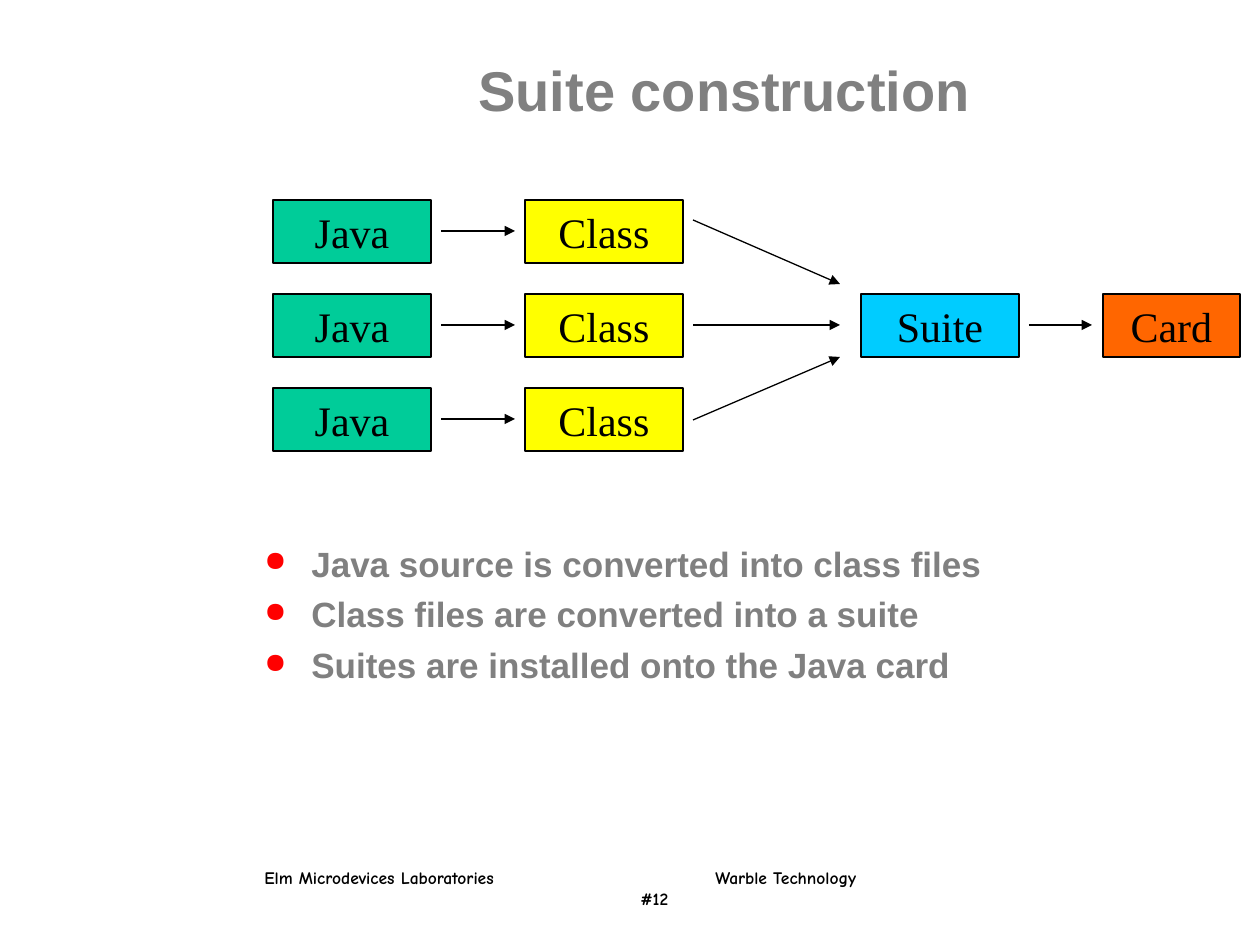
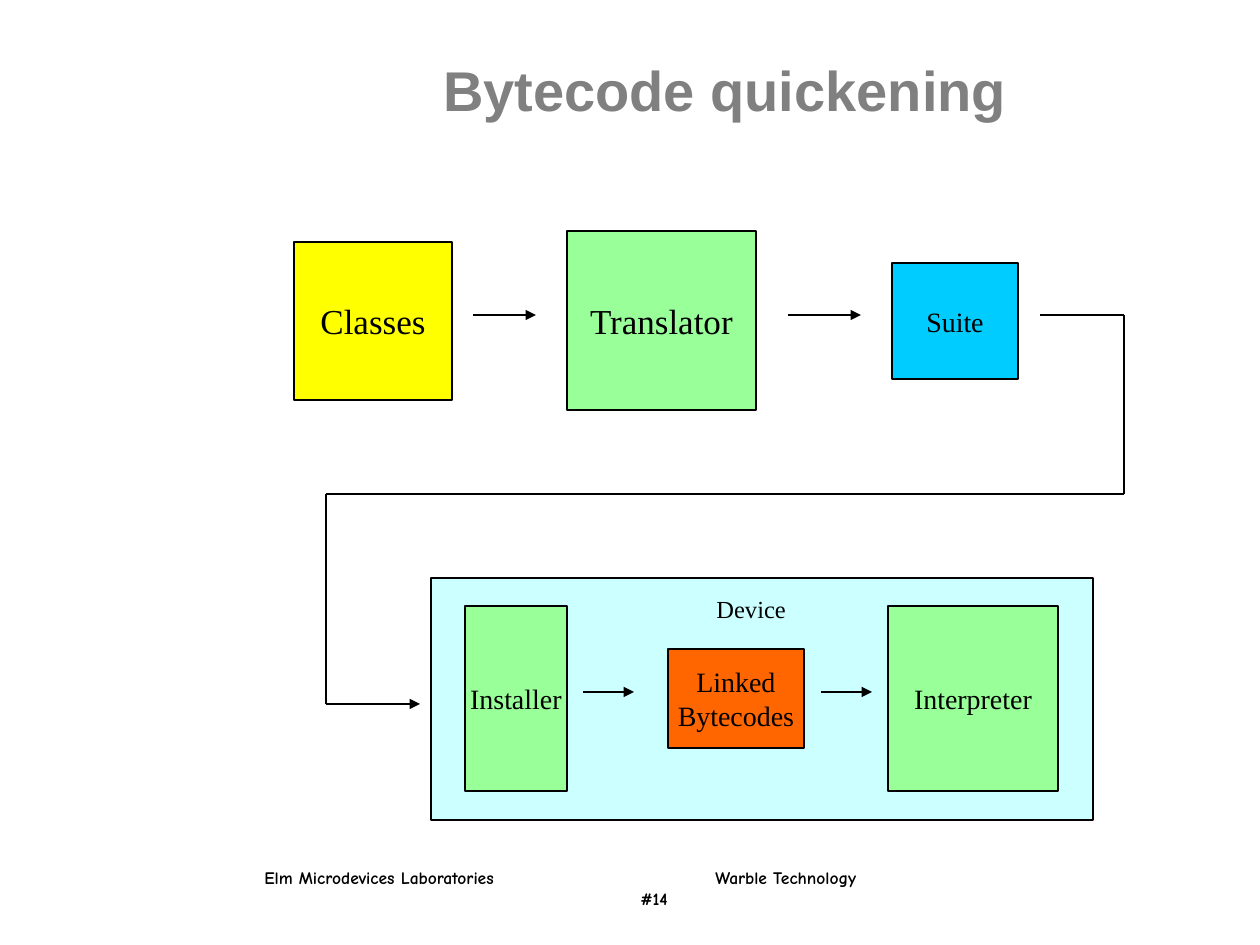
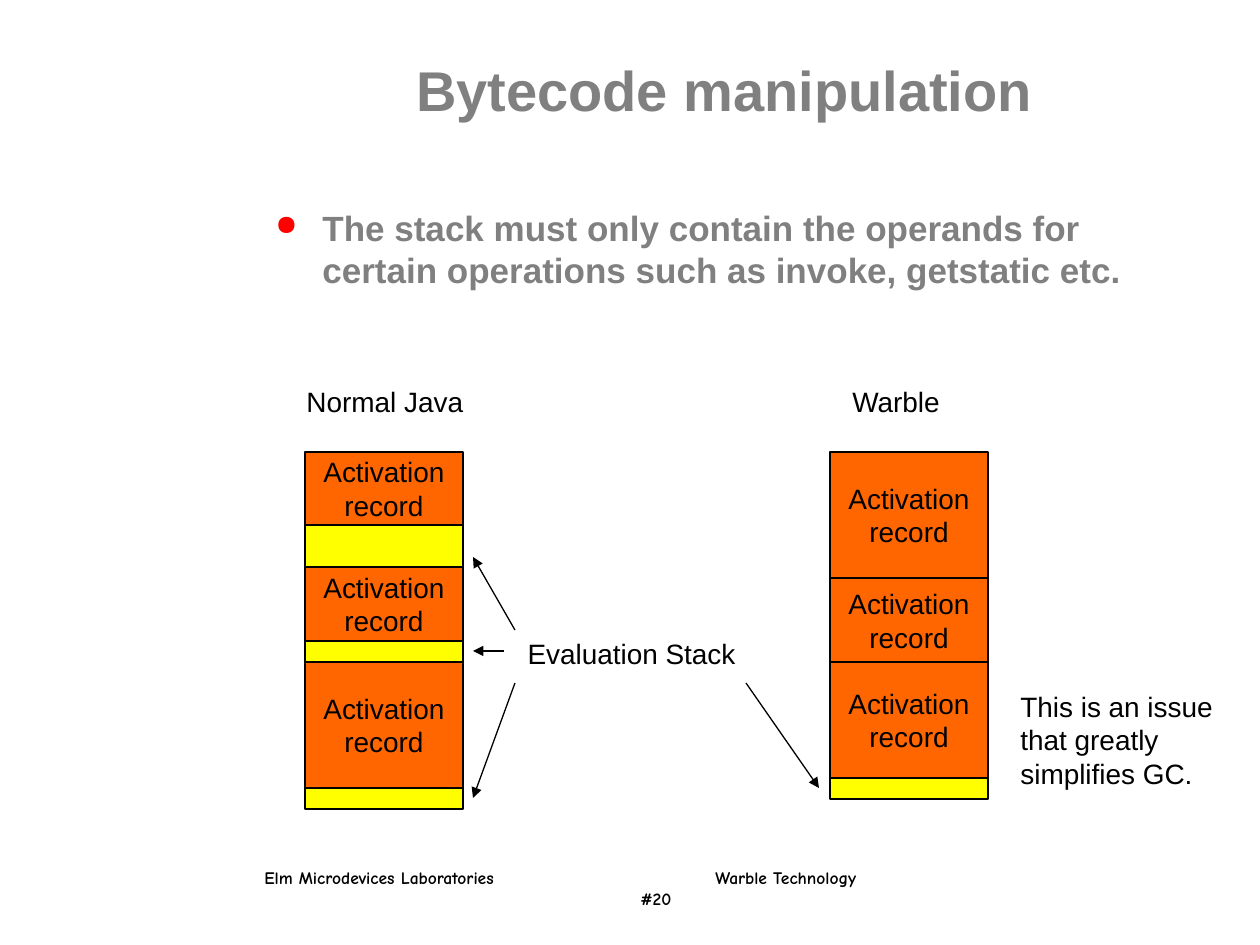
from itertools import pairwise

from lxml import etree
from pptx import Presentation
from pptx.dml.color import RGBColor
from pptx.enum.shapes import MSO_CONNECTOR, MSO_SHAPE
from pptx.enum.text import MSO_ANCHOR, MSO_AUTO_SIZE, PP_ALIGN
from pptx.oxml.ns import qn
from pptx.util import Emu, Pt

PX_PER_INCH = 126
SLIDE_W, SLIDE_H = 1260, 945
TITLE_ONLY = 5

STRAIGHT = MSO_CONNECTOR.STRAIGHT
RECTANGLE = MSO_SHAPE.RECTANGLE
TOP, MIDDLE = MSO_ANCHOR.TOP, MSO_ANCHOR.MIDDLE
LEFT, CENTER = PP_ALIGN.LEFT, PP_ALIGN.CENTER
NO_AUTOSIZE = MSO_AUTO_SIZE.NONE

SANS, SERIF, FOOTER_FONT = "Arial", "Times New Roman", "Comic Neue"

BLACK = RGBColor(0x00, 0x00, 0x00)
GRAY = RGBColor(0x80, 0x80, 0x80)
RED = RGBColor(0xFF, 0x00, 0x00)
TEAL = RGBColor(0x00, 0xCC, 0x99)
YELLOW = RGBColor(0xFF, 0xFF, 0x00)
SKY = RGBColor(0x00, 0xCC, 0xFF)
ORANGE = RGBColor(0xFF, 0x66, 0x00)
GREEN = RGBColor(0x99, 0xFF, 0x99)
PALE_CYAN = RGBColor(0xCC, 0xFF, 0xFF)

LINE_WIDTH = Pt(0.75)
BULLET_INDENT = 47
OWNER_TAB, PAGE_TAB = 451, 376
RECORD = "Activation\nrecord"


def px(length):
    return Emu(round(length * 914400 / PX_PER_INCH))


def place(*lengths):
    return [px(length) for length in lengths]


def put_text(shape, text, *, size, font=SERIF, color=BLACK, bold=False,
             align=CENTER, anchor=MIDDLE, wrap=False, space_before=0):
    """Fill a shape with text, one paragraph per line."""
    frame = shape.text_frame
    frame.auto_size = NO_AUTOSIZE
    frame.word_wrap = wrap
    frame.vertical_anchor = anchor
    frame.text = text
    for paragraph in frame.paragraphs:
        paragraph.alignment = align
        paragraph.space_before = Pt(space_before)
        paragraph.font.size = Pt(size)
        for run in paragraph.runs:
            run.font.size = Pt(size)
            run.font.name = font
            run.font.bold = bold
            run.font.color.rgb = color
    return frame


def add_label(slide, text, left, top, width, height, **text_format):
    label = slide.shapes.add_textbox(*place(left, top, width, height))
    return put_text(label, text, **{"align": LEFT, "anchor": TOP, **text_format})


def add_box(slide, left, top, width, height, fill, text="", **text_format):
    box = slide.shapes.add_shape(RECTANGLE, *place(left, top, width, height))
    box.shadow.inherit = False
    box.fill.solid()
    box.fill.fore_color.rgb = fill
    box.line.color.rgb = BLACK
    box.line.width = LINE_WIDTH
    if text:
        put_text(box, text, **text_format)


def add_line(slide, start, end, arrow=True):
    line = slide.shapes.add_connector(STRAIGHT, *place(*start, *end))
    line.line.color.rgb = BLACK
    line.line.width = LINE_WIDTH
    if arrow:
        etree.SubElement(line.line._get_or_add_ln(), qn("a:tailEnd"), type="triangle")
    etree.SubElement(line._element.spPr, qn("a:effectLst"))


def add_route(slide, points):
    """Draw joined lines through the points, with an arrowhead at the last."""
    for start, end in pairwise(points):
        add_line(slide, start, end, arrow=end == points[-1])


def add_bullets(slide, text, left, top, width, height):
    frame = add_label(slide, text, left, top, width, height, size=20, font=SANS,
                      color=GRAY, bold=True, wrap=True, space_before=5)
    for paragraph in frame.paragraphs:
        props = paragraph._p.get_or_add_pPr()
        props.set("marL", str(px(BULLET_INDENT)))
        props.set("indent", str(-px(BULLET_INDENT)))
        bullet_color = etree.SubElement(props, qn("a:buClr"))
        etree.SubElement(bullet_color, qn("a:srgbClr"), val=str(RED))
        etree.SubElement(props, qn("a:buSzPct"), val="80000")
        etree.SubElement(props, qn("a:buChar"), char="●")


def add_footer(slide, page):
    text = f"Elm Microdevices Laboratories\tWarble Technology\n\t#{page}"
    frame = add_label(slide, text, 252, 861, 793, 55, size=10,
                      font=FOOTER_FONT, bold=True, wrap=True)
    for paragraph, position in zip(frame.paragraphs, (OWNER_TAB, PAGE_TAB)):
        tabs = etree.SubElement(paragraph._p.get_or_add_pPr(), qn("a:tabLst"))
        etree.SubElement(tabs, qn("a:tab"), pos=str(px(position)), algn="l")


def add_titled_slide(deck, heading, page, left=252, width=945):
    slide = deck.slides.add_slide(deck.slide_layouts[TITLE_ONLY])
    title = slide.shapes.title
    title.left, title.top, title.width, title.height = place(left, 53, width, 73)
    put_text(title, heading, size=32, font=SANS, color=GRAY, bold=True, wrap=True)
    add_footer(slide, page)
    return slide


def add_stack(slide, left, top, segments):
    """Pile segments downwards; those without text are evaluation stacks."""
    for height, text in segments:
        fill = ORANGE if text else YELLOW
        add_box(slide, left, top, 158, height, fill, text, size=16, font=SANS)
        top += height


def build_suite_construction(deck):
    slide = add_titled_slide(deck, "Suite construction", 12)
    add_bullets(slide, "Java source is converted into class files\n"
                       "Class files are converted into a suite\n"
                       "Suites are installed onto the Java card", 252, 536, 945, 231)
    box_height = 63
    for top in range(200, 400, 94):
        middle = top + box_height // 2
        add_box(slide, 273, top, 158, box_height, TEAL, "Java", size=24)
        add_box(slide, 525, top, 158, box_height, YELLOW, "Class", size=24)
        add_line(slide, (441, middle), (515, middle))
    for class_y, suite_y in ((220, 284), (325, 325), (420, 357)):
        add_line(slide, (693, class_y), (840, suite_y))
    add_box(slide, 861, 294, 158, box_height, SKY, "Suite", size=24)
    add_line(slide, (1029, 325), (1092, 325))
    add_box(slide, 1103, 294, 137, box_height, ORANGE, "Card", size=24)


def build_bytecode_quickening(deck):
    slide = add_titled_slide(deck, "Bytecode quickening", 14, left=284, width=882)
    add_box(slide, 294, 242, 158, 158, YELLOW, "Classes", size=20)
    add_box(slide, 567, 231, 189, 179, GREEN, "Translator", size=20)
    add_box(slide, 892, 263, 126, 116, SKY, "Suite", size=16)
    for start, end in ((473, 536), (788, 861)):
        add_line(slide, (start, 315), (end, 315))

    add_box(slide, 431, 578, 662, 242, PALE_CYAN)
    add_label(slide, "Device", 704, 588, 95, 43, size=14)
    add_box(slide, 465, 606, 102, 185, GREEN, "Installer", size=16)
    add_box(slide, 668, 649, 136, 99, ORANGE, "Linked\nBytecodes", size=16)
    add_box(slide, 888, 606, 170, 185, GREEN, "Interpreter", size=16)
    for start, end in ((583, 634), (821, 872)):
        add_line(slide, (start, 692), (end, 692))

    add_route(slide, [(1040, 315), (1124, 315), (1124, 494),
                      (326, 494), (326, 704), (420, 704)])


def build_bytecode_manipulation(deck):
    slide = add_titled_slide(deck, "Bytecode manipulation", 20)
    add_bullets(slide, "The stack must only contain the operands for certain "
                       "operations such as invoke, getstatic etc.", 263, 200, 914, 147)

    add_stack(slide, 305, 452, [(73, RECORD), (42, ""), (74, RECORD),
                                (21, ""), (126, RECORD), (21, "")])
    add_stack(slide, 830, 452, [(126, RECORD), (84, RECORD), (116, RECORD), (21, "")])

    add_label(slide, "Normal Java", 294, 378, 182, 47, size=16, font=SANS)
    add_label(slide, "Warble", 840, 378, 125, 47, size=16, font=SANS)
    add_label(slide, "Evaluation Stack", 515, 630, 233, 47, size=16, font=SANS,
              align=CENTER)
    add_label(slide, "This is an issue that greatly simplifies GC.",
              1008, 683, 221, 113, size=16, font=SANS, wrap=True)
    for start, end in (((515, 630), (473, 557)), ((504, 651), (473, 651)),
                       ((515, 683), (473, 798)), ((746, 683), (819, 788))):
        add_line(slide, start, end)


def main():
    deck = Presentation()
    deck.slide_width, deck.slide_height = place(SLIDE_W, SLIDE_H)
    build_suite_construction(deck)
    build_bytecode_quickening(deck)
    build_bytecode_manipulation(deck)
    deck.save("out.pptx")


if __name__ == "__main__":
    main()
